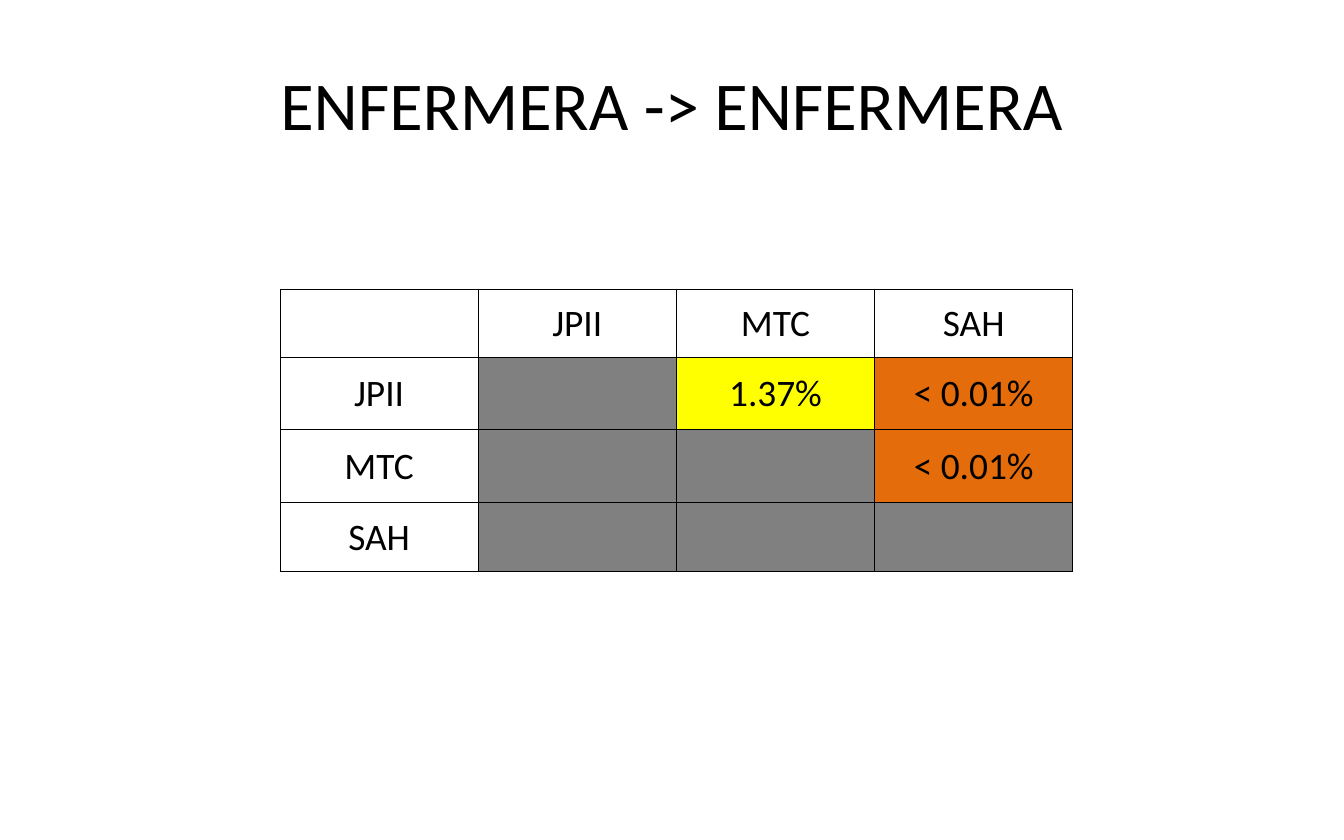
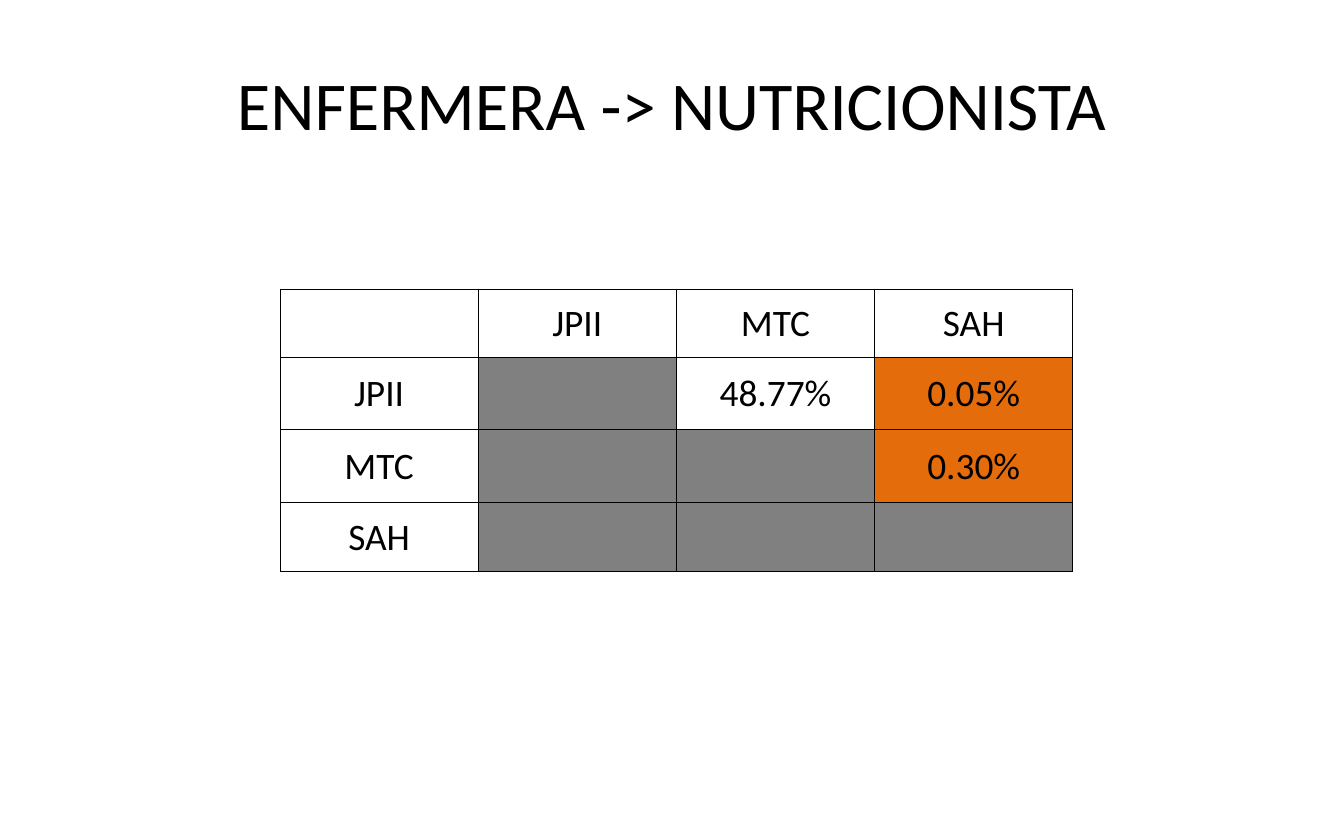
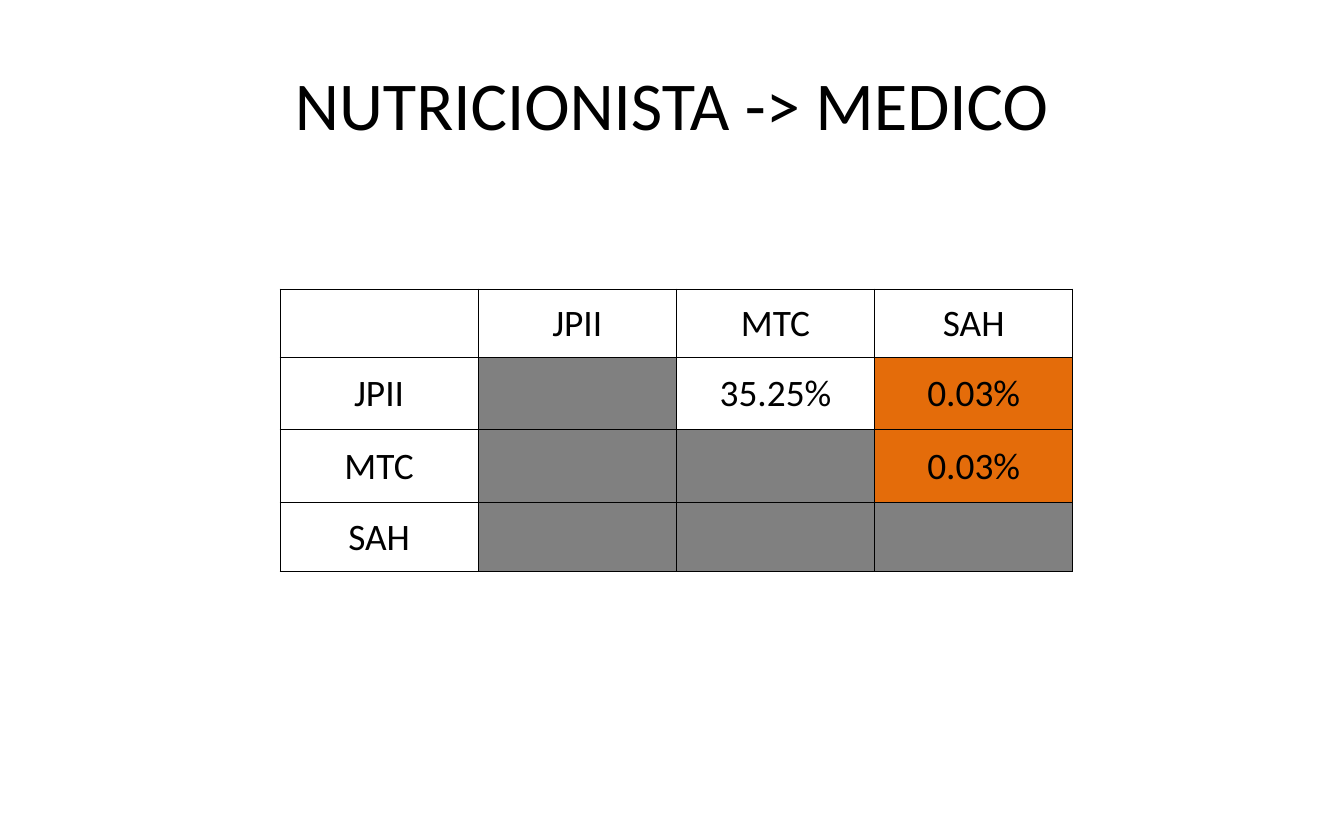
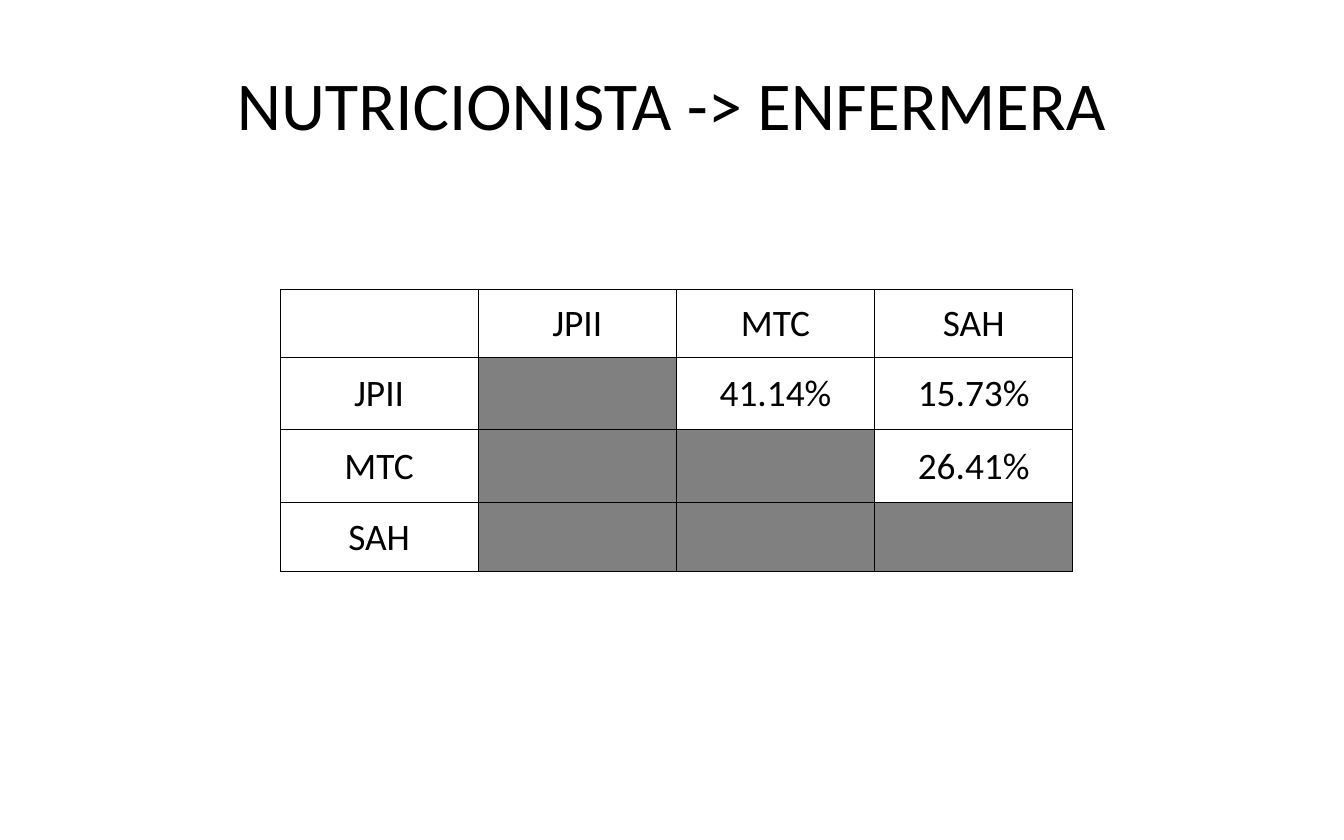
"""Build the deck of pairwise p-value tables, one slide per staff transition."""
from lxml.etree import SubElement
from pptx import Presentation
from pptx.dml.color import RGBColor
from pptx.enum.text import MSO_ANCHOR as Anchor, PP_ALIGN as Align
from pptx.oxml.ns import qn
from pptx.util import Inches, Pt

BLACK = RGBColor(0x00, 0x00, 0x00)
WHITE = RGBColor(0xFF, 0xFF, 0xFF)
GRAY = RGBColor(0x80, 0x80, 0x80)
YELLOW = RGBColor(0xFF, 0xFF, 0x00)
ORANGE = RGBColor(0xE4, 0x6C, 0x0A)

FONT = "Calibri"
TITLE_LAYOUT = 5
WIDTH, HEIGHT = Inches(12), Inches(7.5)
TABLE_LEFT, TABLE_TOP = Inches(2.5), Inches(2.58)
COLUMN_WIDTH = Inches(1.77)
ROW_HEIGHTS = [Inches(height) for height in (0.61, 0.64, 0.66, 0.61)]

CENTERS = ("JPII", "MTC", "SAH")
TRANSITIONS = (
    ("ENFERMERA -> ENFERMERA", ("1.37%", "< 0.01%", "< 0.01%")),
    ("ENFERMERA -> NUTRICIONISTA", ("48.77%", "0.05%", "0.30%")),
    ("NUTRICIONISTA -> MEDICO", ("35.25%", "0.03%", "0.03%")),
    ("NUTRICIONISTA -> ENFERMERA", ("41.14%", "15.73%", "26.41%")),
)


def write_text(paragraph, text, size):
    """Add one centred black run to a paragraph."""
    paragraph.alignment = Align.CENTER
    run = paragraph.add_run()
    run.text = text
    run.font.name = FONT
    run.font.size = Pt(size)
    run.font.bold = False
    run.font.color.rgb = BLACK


def add_title(slide, text):
    """Place and fill the title placeholder."""
    title = slide.shapes.title
    title.left, title.top = int(WIDTH * 0.05), int(HEIGHT * 0.04)
    title.width, title.height = int(WIDTH * 0.9), Inches(1.25)
    title.text_frame.vertical_anchor = Anchor.MIDDLE
    write_text(title.text_frame.paragraphs[0], text, 44)


def add_borders(cell):
    """Draw a thin black line on all four sides of a cell."""
    properties = cell._tc.get_or_add_tcPr()
    for side in ("a:lnL", "a:lnR", "a:lnT", "a:lnB"):
        line = SubElement(properties, qn(side), w=str(Pt(0.5)))
        fill = SubElement(line, qn("a:solidFill"))
        SubElement(fill, qn("a:srgbClr"), val=str(BLACK))


def format_cell(cell, text, color):
    """Give a cell its borders, its fill and its text, if any."""
    add_borders(cell)
    if color is None:
        cell.fill.background()
    else:
        cell.fill.solid()
        cell.fill.fore_color.rgb = color
    if text:
        cell.vertical_anchor = Anchor.MIDDLE
        cell.margin_left = cell.margin_right = cell.margin_top = Inches(0.01)
        cell.margin_bottom = 0
        write_text(cell.text_frame.paragraphs[0], text, 24)


def significance_color(value):
    """Return the fill for a p-value: below 1 %, below 5 %, or neither."""
    percent = float(value.strip("< %"))
    if percent < 1:
        return ORANGE
    return YELLOW if percent < 5 else None


def cell_content(row, column, values):
    """Return the text and fill of one cell of the comparison matrix."""
    if row == 0 or column == 0:
        return ("", *CENTERS)[row + column], None
    if column <= row:
        return "", GRAY
    value = values[row + column - 3]
    return value, significance_color(value)


def add_matrix(slide, values):
    """Add the table that compares each pair of centers."""
    count = len(CENTERS) + 1
    frame = slide.shapes.add_table(count, count, TABLE_LEFT, TABLE_TOP,
                                   COLUMN_WIDTH * count, sum(ROW_HEIGHTS))
    table = frame.table
    table.first_row = table.horz_banding = False
    for column in table.columns:
        column.width = COLUMN_WIDTH
    for row, height in enumerate(ROW_HEIGHTS):
        table.rows[row].height = height
        for column in range(count):
            format_cell(table.cell(row, column),
                        *cell_content(row, column, values))


def main():
    """Create the presentation and save it."""
    presentation = Presentation()
    presentation.slide_width, presentation.slide_height = WIDTH, HEIGHT
    background = presentation.slide_master.background.fill
    background.solid()
    background.fore_color.rgb = WHITE
    for title, values in TRANSITIONS:
        layout = presentation.slide_layouts[TITLE_LAYOUT]
        slide = presentation.slides.add_slide(layout)
        add_matrix(slide, values)
        add_title(slide, title)
    presentation.save("out.pptx")


main()
